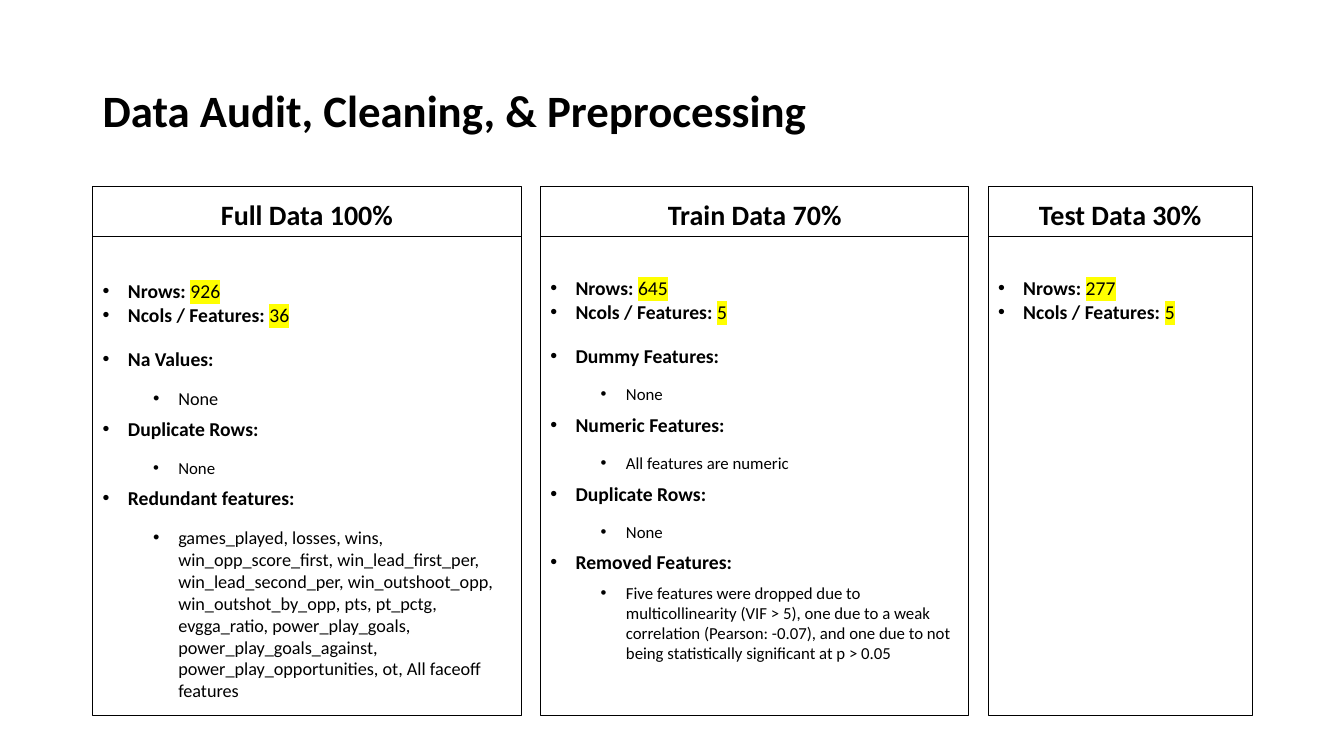
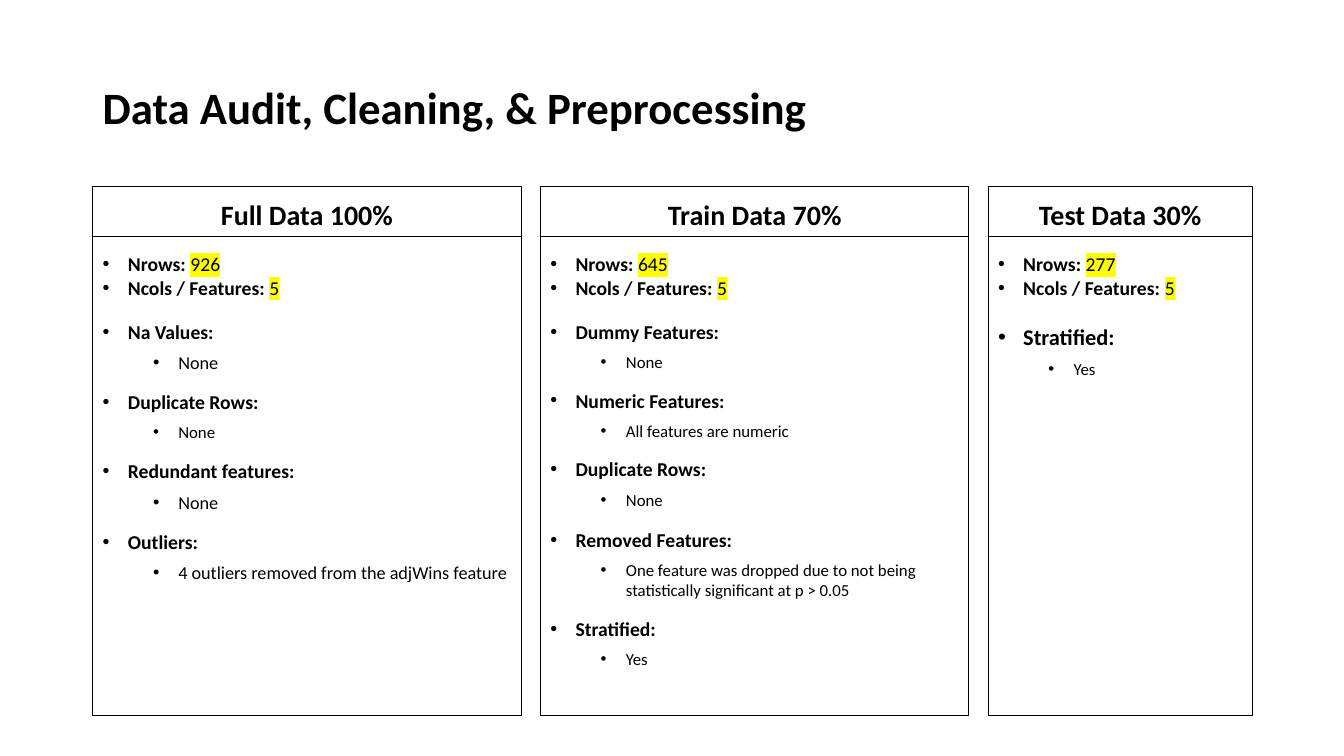
from dataclasses import dataclass

from lxml import etree
from pptx import Presentation
from pptx.dml.color import RGBColor
from pptx.enum.shapes import MSO_SHAPE
from pptx.enum.text import MSO_ANCHOR, PP_ALIGN
from pptx.oxml.ns import qn
from pptx.util import Inches, Pt

RECT = MSO_SHAPE.RECTANGLE
TOP, MIDDLE, BOTTOM = MSO_ANCHOR.TOP, MSO_ANCHOR.MIDDLE, MSO_ANCHOR.BOTTOM
LEFT, CENTER = PP_ALIGN.LEFT, PP_ALIGN.CENTER

COLORS = {"ink": "000000", "paper": "FFFFFF", "marker": "FFFF00"}
FONT = "Calibri"
SLIDE_W, SLIDE_H = 13.33, 7.5
MARGIN = 0.92
CONTENT_W = 11.5
COLUMN_WIDTHS = (4.25, 4.25, 2.62)
GUTTER = (CONTENT_W - sum(COLUMN_WIDTHS)) / (len(COLUMN_WIDTHS) - 1)
PANEL_TOP, PANEL_H, HEADER_H = 1.85, 5.25, 0.5
TITLE_H = 1.45
TITLE = "Data Audit, Cleaning, & Preprocessing"
HEADINGS = ("Full Data 100%", "Train Data 70%", "Test Data 30%")


@dataclass
class Section:
    heading: str
    detail: str
    detail_size: int = 12
    heading_size: int = 14
    heading_after: float = None
    detail_after: float = None


@dataclass
class Panel:
    rows: str
    features: str
    sections: tuple = ()
    inset: float = 0.15
    counts_after: float = 14.6


@dataclass
class Audit:
    title_top: float
    heading_after: float
    detail_after: float
    panels: tuple


AUDITS = (
    Audit(0.4, 12, 6, (
        Panel("926", "36", (
            Section("Na Values:", "None", 13),
            Section("Duplicate Rows:", "None"),
            Section("Redundant features:",
                    "games_played, losses, wins, win_opp_score_first, "
                    "win_lead_first_per, win_lead_second_per, win_outshoot_opp, "
                    "win_outshot_by_opp, pts, pt_pctg, evgga_ratio, "
                    "power_play_goals, power_play_goals_against, "
                    "power_play_opportunities, ot, All faceoff features", 13),
        ), inset=0.42),
        Panel("645", "5", (
            Section("Dummy Features:", "None"),
            Section("Numeric Features:", "All features are numeric"),
            Section("Duplicate Rows:", "None"),
            Section("Removed Features:",
                    "Five features were dropped due to multicollinearity "
                    "(VIF > 5), one due to a weak correlation (Pearson: -0.07), "
                    "and one due to not being statistically significant at "
                    "p > 0.05", heading_after=6),
        ), inset=0.39),
        Panel("277", "5", inset=0.39),
    )),
    Audit(0.37, 6, 12, (
        Panel("926", "5", (
            Section("Na Values:", "None", 13),
            Section("Duplicate Rows:", "None"),
            Section("Redundant features:", "None", 13),
            Section("Outliers:", "4 outliers removed from the adjWins feature", 13),
        )),
        Panel("645", "5", (
            Section("Dummy Features:", "None"),
            Section("Numeric Features:", "All features are numeric"),
            Section("Duplicate Rows:", "None", detail_after=13.2),
            Section("Removed Features:",
                    "One feature was dropped due to not being statistically "
                    "significant at p > 0.05"),
            Section("Stratified:", "Yes"),
        )),
        Panel("277", "5", (
            Section("Stratified:", "Yes", heading_size=16),
        ), counts_after=17.1),
    )),
)


def rgb(name):
    return RGBColor.from_string(COLORS[name])


def add_run(paragraph, text, size, bold=False, marked=False):
    run = paragraph.add_run()
    run.text = text
    run.font.size = Pt(size)
    run.font.bold = bold
    run.font.color.rgb = rgb("ink")
    if marked:
        highlight = etree.Element(qn("a:highlight"))
        etree.SubElement(highlight, qn("a:srgbClr"), val=COLORS["marker"])
        run.font.fill  
        run.font._element.find(qn("a:solidFill")).addnext(highlight)
    run.font.name = FONT


def add_bullet(frame, runs, level=0, after=0):
    first = frame.paragraphs[0]
    paragraph = frame.add_paragraph() if first.runs else first
    paragraph.alignment = LEFT
    paragraph.level = level
    paragraph.space_before = Pt(0)
    paragraph.space_after = Pt(after)
    properties = paragraph._p.get_or_add_pPr()
    properties.set("marL", str(Inches(0.25 + 0.5 * level)))
    properties.set("indent", str(-Inches(0.25)))
    etree.SubElement(properties, qn("a:buFont"), typeface="Arial")
    etree.SubElement(properties, qn("a:buChar"), char="•")
    for run in runs:
        add_run(paragraph, *run)


def add_box(slide, left, top, width, height, anchor):
    box = slide.shapes.add_shape(
        RECT, Inches(left), Inches(top), Inches(width), Inches(height))
    box.shadow.inherit = False
    box.fill.background()
    box.line.color.rgb = rgb("ink")
    box.line.width = Pt(0.75)
    frame = box.text_frame
    frame.word_wrap = True
    frame.vertical_anchor = anchor
    return frame


def add_heading(frame, text, size, alignment):
    paragraph = frame.paragraphs[0]
    paragraph.alignment = alignment
    paragraph.line_spacing = 0.9
    add_run(paragraph, text, size, True)


def add_title(slide, top):
    title = slide.shapes.add_textbox(
        Inches(MARGIN), Inches(top), Inches(CONTENT_W), Inches(TITLE_H))
    frame = title.text_frame
    frame.word_wrap = True
    frame.vertical_anchor = MIDDLE
    add_heading(frame, TITLE, 32, LEFT)


def add_panel(slide, left, top, width, height, heading, panel, audit):
    body = add_box(slide, left, top + HEADER_H, width, height - HEADER_H, TOP)
    body.margin_top = Inches(panel.inset)
    add_bullet(body, [("Nrows: ", 14, True), (panel.rows, 14, False, True)])
    add_bullet(body, [("Ncols / Features: ", 14, True),
                      (panel.features, 14, False, True)],
               after=panel.counts_after)
    for section in panel.sections:
        add_bullet(body, [(section.heading, section.heading_size, True)],
                   after=section.heading_after or audit.heading_after)
        add_bullet(body, [(section.detail, section.detail_size)], level=1,
                   after=section.detail_after or audit.detail_after)
    header = add_box(slide, left, top, width, HEADER_H, BOTTOM)
    add_heading(header, heading, 20, CENTER)


def add_audit_slide(deck, audit):
    slide = deck.slides.add_slide(deck.slide_layouts[6])
    slide.background.fill.solid()
    slide.background.fill.fore_color.rgb = rgb("paper")
    add_title(slide, audit.title_top)
    left = MARGIN
    for width, heading, panel in zip(COLUMN_WIDTHS, HEADINGS, audit.panels):
        add_panel(slide, left, PANEL_TOP, width, PANEL_H, heading, panel, audit)
        left += width + GUTTER


def main():
    deck = Presentation()
    deck.slide_width = Inches(SLIDE_W)
    deck.slide_height = Inches(SLIDE_H)
    for audit in AUDITS:
        add_audit_slide(deck, audit)
    deck.save("out.pptx")


if __name__ == "__main__":
    main()
